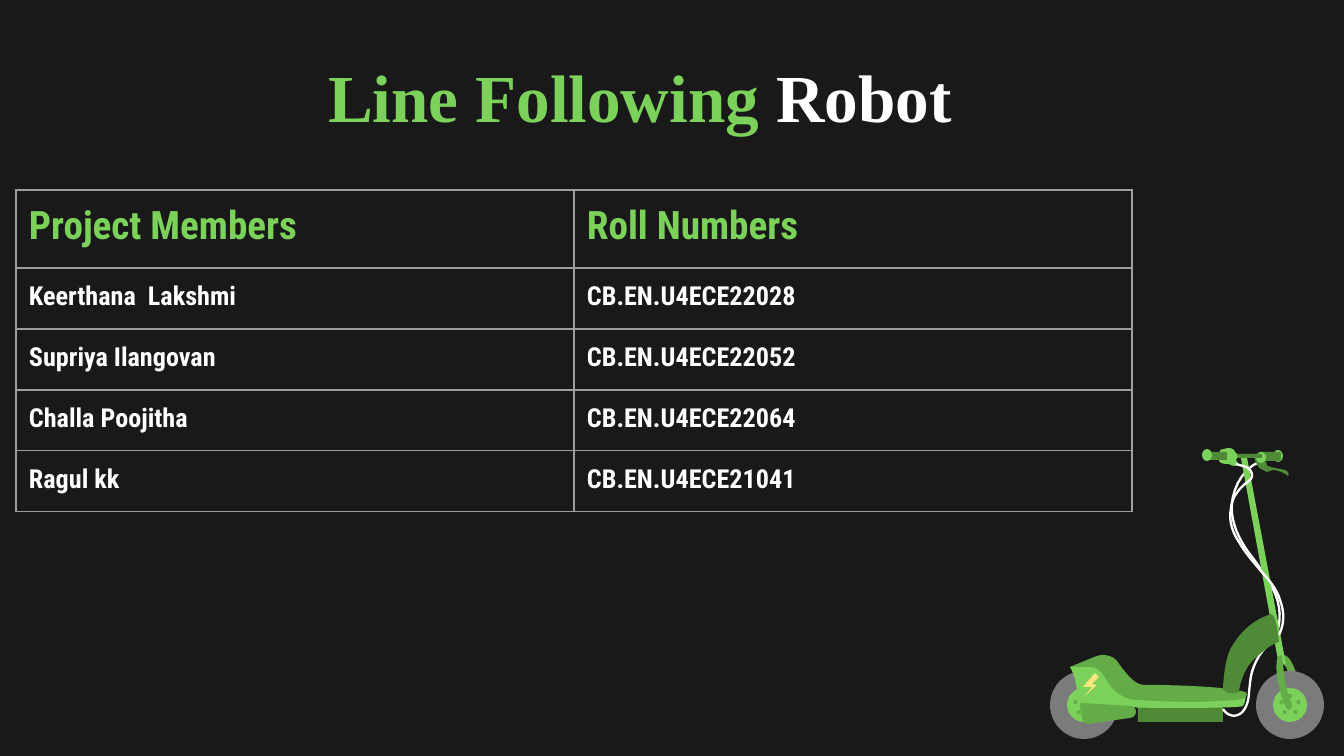
from dataclasses import dataclass
from math import cos, pi, sin

from lxml.etree import SubElement
from pptx import Presentation
from pptx.dml.color import RGBColor as Color
from pptx.enum.shapes import MSO_SHAPE as Shape
from pptx.enum.text import MSO_ANCHOR as Anchor, PP_ALIGN as Align
from pptx.oxml.ns import qn
from pptx.util import Emu, Pt


@dataclass(frozen=True)
class Theme:
    back: str = "191919"
    green: str = "7BD159"
    mid_green: str = "63AC47"
    dark_green: str = "4F8B37"
    tyre: str = "7B7B7B"
    bolt: str = "F8E67C"
    white: str = "FFFFFF"
    border: str = "9E9E9E"
    title_font: str = "Times New Roman"
    body_font: str = "Roboto Condensed"
    title_size: int = 36
    head_size: int = 21
    body_size: int = 14
    border_width: float = 0.75
    cable_width: float = 1.25


THEME = Theme()
PX_PER_INCH = 134.4
CURVE_STEPS = 8

MEMBERS = [
    ("Project Members", "Roll Numbers"),
    ("Keerthana  Lakshmi", "CB.EN.U4ECE22028"),
    ("Supriya Ilangovan", "CB.EN.U4ECE22052"),
    ("Challa Poojitha", "CB.EN.U4ECE22064"),
    ("Ragul kk", "CB.EN.U4ECE21041"),
]

# Outlines in px: a start point, then lines (x, y) or cubic curves (x1, y1, x2, y2, x, y).
FORK_BACK = [(1283, 655), (1282, 655), (1283, 664), (1286, 667), (1290, 677),
             (1291, 680, 1296, 682, 1297, 675), (1294, 667, 1290, 655, 1283, 655)]
FORK_FRONT = [(1282, 655), (1278, 657), (1274, 665, 1278, 691, 1286, 707),
              (1288, 712, 1293, 709, 1292, 704), (1285, 689, 1284, 671, 1283, 664)]
LOWER_CABLE = [(1270, 643), (1259, 653, 1251, 668, 1250, 684),
               (1249, 693, 1249, 697, 1248, 701), (1246, 708, 1243, 713, 1238, 715),
               (1233, 717, 1227, 715, 1223, 709)]
BACK_CABLE = [(1259, 462), (1241, 470, 1230, 493, 1232, 513),
              (1234, 530, 1242, 543, 1249, 553), (1257, 563, 1266, 576, 1273, 589),
              (1278, 598, 1283, 616, 1277, 632)]
FRONT_CABLE = [(1236, 464), (1239, 465, 1243, 466, 1246, 467),
               (1250, 469, 1252, 472, 1252, 476), (1252, 479, 1248, 482, 1245, 484),
               (1238, 490, 1232, 498, 1231, 508), (1228, 522, 1234, 535, 1239, 542),
               (1244, 551, 1250, 558, 1260, 570), (1268, 579, 1277, 589, 1280, 600),
               (1285, 613, 1284, 625, 1279, 635)]
BODY = [(1095, 663), (1070, 667), (1074, 673, 1079, 690, 1077, 704),
        (1110, 707, 1137, 708, 1164, 708), (1203, 708, 1241, 708, 1243, 706),
        (1246, 702, 1246, 694, 1246, 694), (1137, 694), (1114, 675)]
BRAKE_LEVER = [(1254, 457), (1255, 460, 1258, 468, 1261, 469), (1267, 472),
               (1273, 470), (1275, 470, 1284, 472, 1288, 476),
               (1289, 474, 1289, 472, 1285, 470), (1281, 469, 1267, 467, 1267, 465),
               (1265, 458)]
STEM = [(1247, 457), (1241, 458), (1279, 665), (1286, 664)]
BRAKE_MOUNT = [(1228, 448), (1220, 450), (1219, 461), (1220, 463, 1223, 464, 1227, 464),
               (1230, 464, 1232, 466, 1235, 466), (1239, 465), (1236, 460),
               (1238, 458, 1238, 454, 1235, 452), (1234, 449, 1231, 448, 1228, 448)]
DECK_TOP = [(1102, 655), (1097, 656), (1070, 667), (1091, 667),
            (1102, 668, 1105, 679, 1110, 685), (1114, 692, 1125, 699, 1134, 700),
            (1140, 700, 1167, 702, 1192, 702), (1212, 702, 1231, 700, 1236, 700),
            (1247, 699, 1249, 694, 1245, 692), (1226, 687, 1183, 685, 1144, 685),
            (1134, 685, 1124, 671, 1117, 661), (1113, 656, 1106, 655, 1102, 655)]
REAR_COVER = [(1081, 703), (1079, 704, 1081, 712, 1082, 718),
              (1083, 722, 1086, 724, 1088, 724), (1130, 718),
              (1138, 717, 1138, 706, 1130, 706)]
BOLT = [(1095, 673), (1083, 687), (1092, 687), (1085, 696), (1097, 685), (1092, 684),
        (1099, 677)]
FENDER = [(1271, 614), (1264, 617, 1246, 622, 1231, 648),
          (1224, 661, 1223, 689, 1223, 689), (1226, 694, 1232, 694, 1239, 692),
          (1239, 692, 1241, 668, 1259, 655), (1271, 644, 1279, 642, 1279, 642),
          (1279, 642, 1277, 614, 1271, 614)]


def px(length):
    return Emu(round(length * 914400 / PX_PER_INCH))


def style_font(font, name, size, color):
    font.name, font.size, font.bold = name, Pt(size), True
    font.color.rgb = Color.from_string(color)


def paint(shape, color):
    shape.shadow.inherit = False
    shape.fill.solid()
    shape.fill.fore_color.rgb = Color.from_string(color)
    shape.line.fill.background()


def add_block(group, kind, box, color):
    shape = group.shapes.add_shape(kind, *map(px, box))
    paint(shape, color)


def flatten(outline):
    """Turn lines and cubic curves into a list of points."""
    points = [outline[0]]
    for step in outline[1:]:
        if len(step) == 2:
            points.append(step)
            continue
        start, controls = points[-1], (step[:2], step[2:4], step[4:])
        for index in range(1, CURVE_STEPS + 1):
            t = index / CURVE_STEPS
            weights = ((1 - t) ** 3, 3 * t * (1 - t) ** 2, 3 * t * t * (1 - t), t ** 3)
            points.append(tuple(sum(w * p[axis] for w, p in zip(weights, (start, *controls)))
                                for axis in (0, 1)))
    return points


def draw_outline(group, outline, close):
    points = [(px(x), px(y)) for x, y in flatten(outline)]
    builder = group.shapes.build_freeform(*points[0], scale=1.0)
    builder.add_line_segments(points[1:], close=close)
    return builder.convert_to_shape()


def add_part(group, outline, color):
    paint(draw_outline(group, outline, True), color)


def add_cable(group, outline):
    cable = draw_outline(group, outline, False)
    cable.shadow.inherit = False
    cable.fill.background()
    cable.line.color.rgb = Color.from_string(THEME.white)
    cable.line.width = Pt(THEME.cable_width)


def add_disc(group, x, y, radius, color):
    add_block(group, Shape.OVAL, (x - radius, y - radius, 2 * radius, 2 * radius), color)


def add_wheel(group, x, y):
    add_disc(group, x, y, 34, THEME.tyre)
    add_disc(group, x, y, 17, THEME.green)
    for hole in range(5):
        angle = 2 * pi * hole / 5
        add_disc(group, x + 9 * sin(angle), y - 9 * cos(angle), 2, THEME.mid_green)


def add_scooter(page):
    group = page.shapes.add_group_shape()
    add_part(group, FORK_BACK, THEME.mid_green)
    add_wheel(group, 1084, 705)
    add_block(group, Shape.RECTANGLE, (1138, 703, 85, 19), THEME.dark_green)
    add_cable(group, LOWER_CABLE)
    add_cable(group, BACK_CABLE)
    add_part(group, BODY, THEME.green)
    add_part(group, BRAKE_LEVER, THEME.dark_green)
    add_part(group, STEM, THEME.green)
    add_block(group, Shape.RECTANGLE, (1208, 454, 71, 4), THEME.dark_green)
    add_block(group, Shape.OVAL, (1273, 450, 10, 12), THEME.green)
    add_block(group, Shape.ROUNDED_RECTANGLE, (1259, 452, 22, 9), THEME.dark_green)
    add_wheel(group, 1290, 705)
    add_part(group, FORK_FRONT, THEME.mid_green)
    add_block(group, Shape.OVAL, (1256, 452, 10, 11), THEME.green)
    add_part(group, BRAKE_MOUNT, THEME.green)
    add_block(group, Shape.ROUNDED_RECTANGLE, (1208, 452, 19, 8), THEME.dark_green)
    add_block(group, Shape.OVAL, (1202, 449, 10, 12), THEME.green)
    add_block(group, Shape.RECTANGLE, (1253, 454, 9, 4), THEME.dark_green)
    add_part(group, DECK_TOP, THEME.mid_green)
    add_part(group, REAR_COVER, THEME.mid_green)
    add_cable(group, FRONT_CABLE)
    add_part(group, BOLT, THEME.bolt)
    add_part(group, FENDER, THEME.dark_green)


def set_title(page):
    title = page.shapes.title
    title.left, title.top, title.width, title.height = map(px, (35, 35, 1210, 121))
    title.text_frame.vertical_anchor = Anchor.MIDDLE
    para = title.text_frame.paragraphs[0]
    para.alignment = Align.CENTER
    for text, color in (("Line Following", THEME.green), (" Robot", THEME.white)):
        span = para.add_run()
        span.text = text
        style_font(span.font, THEME.title_font, THEME.title_size, color)


def set_borders(cell):
    props = cell._tc.get_or_add_tcPr()
    for side in ("lnL", "lnR", "lnT", "lnB"):
        line = SubElement(props, qn(f"a:{side}"), w=str(Pt(THEME.border_width)))
        fill = SubElement(line, qn("a:solidFill"))
        SubElement(fill, qn("a:srgbClr"), val=THEME.border)


def fill_cell(cell, text, is_head):
    cell.margin_left = cell.margin_right = cell.margin_top = cell.margin_bottom = px(13)
    set_borders(cell)
    cell.fill.background()
    para = cell.text_frame.paragraphs[0]
    para.text = text
    size, color = THEME.head_size, THEME.green
    if not is_head:
        size, color = THEME.body_size, THEME.white
        para.space_before = Pt(4.4)
    style_font(para.runs[0].font, THEME.body_font, size, color)


def add_members(page):
    frame = page.shapes.add_table(len(MEMBERS), 2, *map(px, (16, 190, 1116, 322)))
    table = frame.table
    table.first_row = table.horz_banding = False
    for row, texts in enumerate(MEMBERS):
        table.rows[row].height = px(61 if row else 78)
        for column, text in enumerate(texts):
            fill_cell(table.cell(row, column), text, row == 0)


def main():
    deck = Presentation()
    deck.slide_width, deck.slide_height = px(1344), px(756)
    page = deck.slides.add_slide(deck.slide_layouts[5])
    page.background.fill.solid()
    page.background.fill.fore_color.rgb = Color.from_string(THEME.back)
    set_title(page)
    add_members(page)
    add_scooter(page)
    deck.save("out.pptx")


if __name__ == "__main__":
    main()
